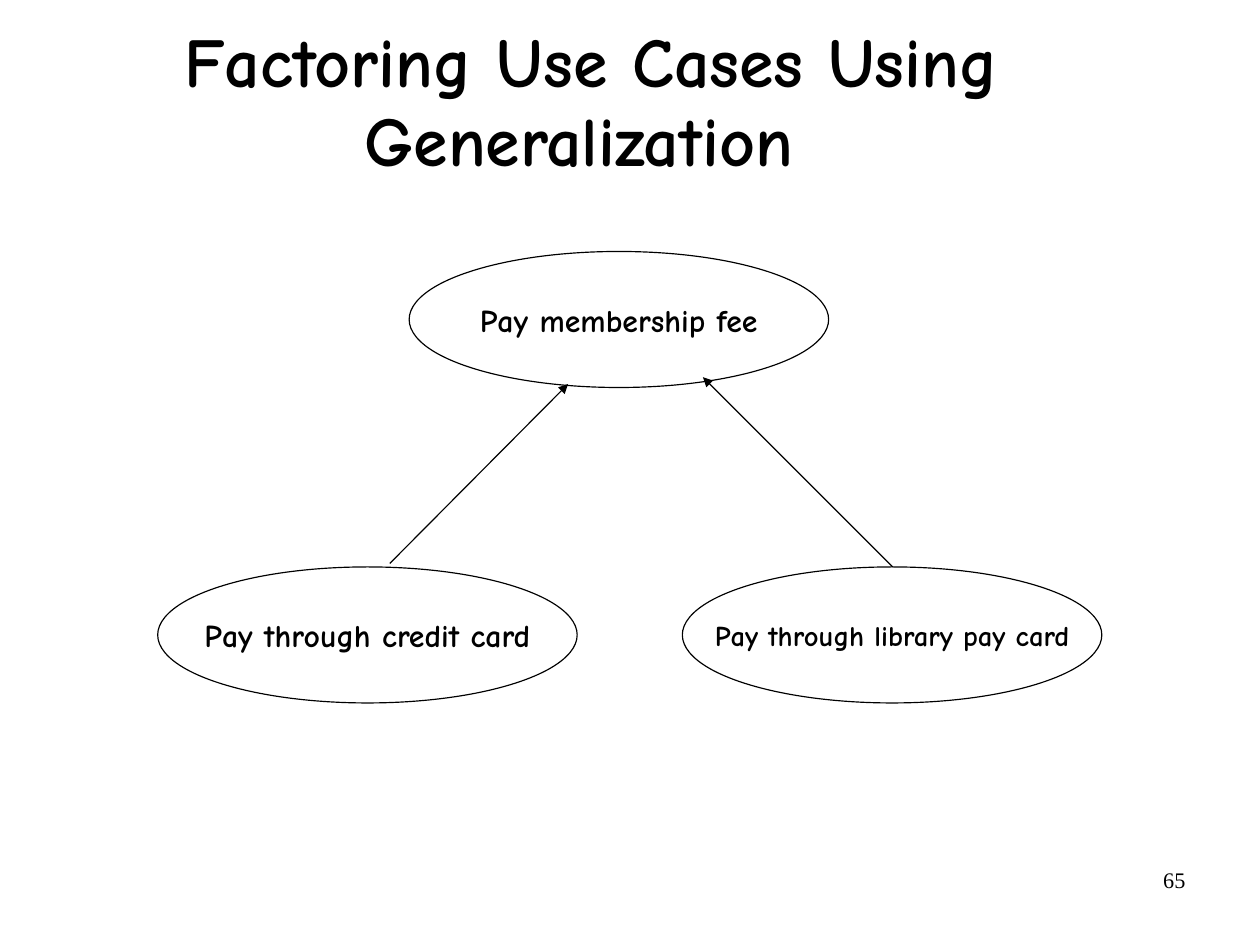
from dataclasses import dataclass

import pptx
import pptx.dml.color
import pptx.enum.shapes
import pptx.enum.text
import pptx.oxml.ns
import pptx.slide
import pptx.text.text
import pptx.util
from lxml import etree
from pptx.util import Inches

COLOURS = {"ink": "000000", "paper": "FFFFFF"}
HAND_FONT = "Comic Neue"
NUMBER_FONT = "Times New Roman"
ELLIPSE_WIDTH, ELLIPSE_HEIGHT = 3.67, 1.19
LINE_WIDTH = 0.75
CHILD_TOP = 4.96


@dataclass
class UseCase:
    label: str
    left: float
    top: float
    size: float


@dataclass
class Generalization:
    start: tuple[float, float]
    end: tuple[float, float]


USE_CASES = [
    UseCase("Pay membership fee", 3.58, 2.2, 20),
    UseCase("Pay through library pay card", 5.97, CHILD_TOP, 18),
    UseCase("Pay through credit card", 1.38, CHILD_TOP, 20),
]
GENERALIZATIONS = [
    Generalization((3.41, 4.93), (4.97, 3.36)),
    Generalization((7.81, CHILD_TOP), (6.15, 3.3)),
]


def colour(name: str) -> pptx.dml.color.RGBColor:
    return pptx.dml.color.RGBColor.from_string(COLOURS[name])


def set_insets(frame: pptx.text.text.TextFrame, side: float, end: float) -> None:
    frame.margin_left = frame.margin_right = Inches(side)
    frame.margin_top = frame.margin_bottom = Inches(end)


def style(para: pptx.text.text._Paragraph, font: str, size: float, bold: bool,
          align: pptx.enum.text.PP_ALIGN = pptx.enum.text.PP_ALIGN.CENTER) -> None:
    para.alignment = align
    para.font.name = font
    para.font.size = pptx.util.Pt(size)
    para.font.bold = bold
    para.font.color.rgb = colour("ink")


def add_title(page: pptx.slide.Slide, text: str) -> None:
    title = page.shapes.title
    title.left, title.top = Inches(0.49), Inches(0.16)
    title.width, title.height = Inches(9.37), Inches(1.49)
    frame = title.text_frame
    frame.text = text
    frame.word_wrap = True
    frame.auto_size = pptx.enum.text.MSO_AUTO_SIZE.NONE
    frame.vertical_anchor = pptx.enum.text.MSO_ANCHOR.MIDDLE
    set_insets(frame, 0.02, 0.06)
    para = frame.paragraphs[0]
    para.line_spacing = 0.94
    para.space_before = pptx.util.Pt(13.6)
    style(para, HAND_FONT, 44, True)


def add_use_case(page: pptx.slide.Slide, case: UseCase) -> None:
    ellipse = page.shapes.add_shape(
        pptx.enum.shapes.MSO_SHAPE.OVAL, Inches(case.left), Inches(case.top),
        Inches(ELLIPSE_WIDTH), Inches(ELLIPSE_HEIGHT))
    ellipse.shadow.inherit = False
    ellipse.fill.background()
    ellipse.line.color.rgb = colour("ink")
    ellipse.line.width = pptx.util.Pt(LINE_WIDTH)
    frame = ellipse.text_frame
    frame.text = case.label
    frame.word_wrap = False
    frame.vertical_anchor = pptx.enum.text.MSO_ANCHOR.MIDDLE
    set_insets(frame, 0.11, 0.06)
    style(frame.paragraphs[0], HAND_FONT, case.size, True)


def add_arrow(page: pptx.slide.Slide, link: Generalization) -> None:
    arrow = page.shapes.add_connector(
        pptx.enum.shapes.MSO_CONNECTOR.STRAIGHT,
        *(Inches(value) for value in link.start + link.end))
    arrow.line.color.rgb = colour("ink")
    arrow.line.width = pptx.util.Pt(LINE_WIDTH)
    outline = arrow.line._get_or_add_ln()
    etree.SubElement(outline, pptx.oxml.ns.qn("a:tailEnd"), type="triangle")
    etree.SubElement(arrow._element.spPr, pptx.oxml.ns.qn("a:effectLst"))


def add_page_number(page: pptx.slide.Slide, number: str) -> None:
    box = page.shapes.add_textbox(Inches(7.9), Inches(7.53), Inches(2.57), Inches(0.57))
    frame = box.text_frame
    frame.text = number
    frame.word_wrap = True
    set_insets(frame, 0.1, 0.05)
    style(frame.paragraphs[0], NUMBER_FONT, 14, False, pptx.enum.text.PP_ALIGN.RIGHT)


def main() -> None:
    deck = pptx.Presentation()
    # The page is a whole number of centimetres
    deck.slide_width, deck.slide_height = pptx.util.Cm(28), pptx.util.Cm(21)
    page = deck.slides.add_slide(deck.slide_layouts[5])
    page.background.fill.solid()
    page.background.fill.fore_color.rgb = colour("paper")

    # Heading and page number
    add_page_number(page, "65")
    add_title(page, "Factoring Use Cases Using\vGeneralization ")

    # Use case diagram
    for case in USE_CASES:
        add_use_case(page, case)
    for link in GENERALIZATIONS:
        add_arrow(page, link)

    deck.save("out.pptx")


if __name__ == "__main__":
    main()
